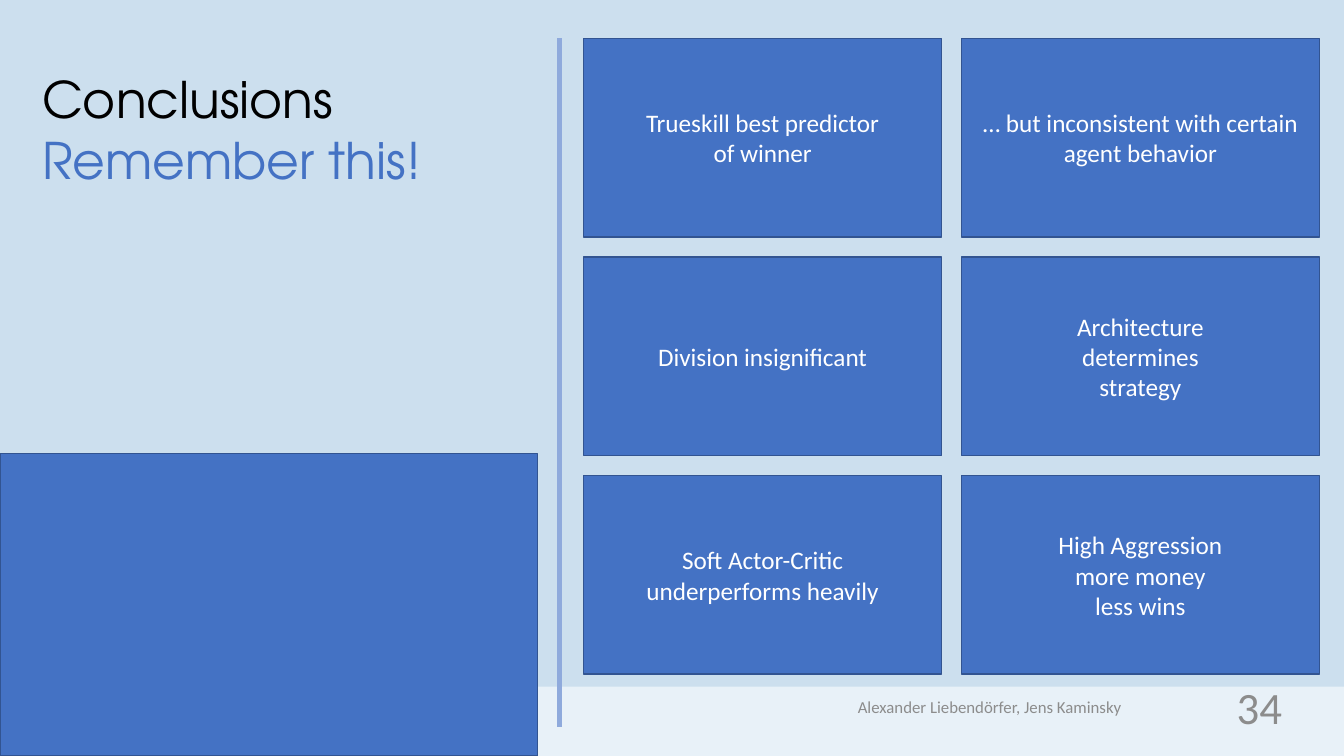
from lxml import etree
from pptx import Presentation, util as u
from pptx.dml import color
from pptx.enum import shapes, text
from pptx.oxml import ns

HUES = {
    "back": "CCDFEE",
    "band": "E8F1F8",
    "blue": "4472C4",
    "edge": "325491",
    "rule": "8FAADC",
    "grey": "8C8C8C",
    "white": "FFFFFF",
    "black": "000000",
}
ALIGN = text.PP_ALIGN
MIDDLE = text.MSO_ANCHOR.MIDDLE


def hue(name):
    return color.RGBColor.from_string(HUES[name])


def cm(*sizes):
    return [u.Cm(size) for size in sizes]


class Page:
    body = "Calibri"
    head = "TeX Gyre Adventor"

    def __init__(self, deck):
        self.slide = deck.slides.add_slide(deck.slide_layouts[6])
        fill = self.slide.background.fill
        fill.solid()
        fill.fore_color.rgb = hue("back")

    def letter(self, frame, words, size, hues, align, font):
        frame.word_wrap = True
        frame.text = words
        for i, para in enumerate(frame.paragraphs):
            para.alignment = align
            for run in para.runs:
                run.font.size = u.Pt(size)
                run.font.name = font
                run.font.color.rgb = hue(hues[i % len(hues)])

    def box(self, place, fill, edge=None, words=None):
        box = self.slide.shapes.add_shape(shapes.MSO_SHAPE.RECTANGLE, *cm(*place))
        box.shadow.inherit = False
        box.fill.solid()
        box.fill.fore_color.rgb = hue(fill)
        if edge:
            box.line.color.rgb = hue(edge)
            box.line.width = u.Pt(1)
        else:
            box.line.fill.background()
        if words:
            box.text_frame.vertical_anchor = MIDDLE
            self.letter(box.text_frame, words, 18, ["white"], ALIGN.CENTER, self.body)

    def rule(self, ends):
        line = self.slide.shapes.add_connector(shapes.MSO_CONNECTOR.STRAIGHT, *cm(*ends))
        line.line.color.rgb = hue("rule")
        line.line.width = u.Pt(3)
        etree.SubElement(line._element.spPr, ns.qn("a:effectLst"))

    def label(self, place, words, size, hues, align, font=body, anchor=MIDDLE):
        frame = self.slide.shapes.add_textbox(*cm(*place)).text_frame
        frame.vertical_anchor = anchor
        self.letter(frame, words, size, hues, align, font)
        return frame


def main():
    deck = Presentation()
    deck.slide_width, deck.slide_height = cm(33.87, 19.05)
    page = Page(deck)

    page.box((0, 17.3, 33.87, 1.75), "band")
    page.rule((14.1, 18.31, 14.1, 0.97))
    page.box((0, 11.43, 13.55, 7.62), "blue", "edge")
    page.label((19.23, 17.3, 11.43, 1.02), "Alexander Liebendörfer, Jens Kaminsky",
               12, ["grey"], ALIGN.CENTER)
    page.label((24.94, 17.3, 7.62, 1.02), "34", 32, ["grey"], ALIGN.RIGHT)

    cards = [
        ("Trueskill best predictor\nof winner",
         "… but inconsistent with certain agent behavior"),
        ("Division insignificant", "Architecture\ndetermines\nstrategy"),
        ("Soft Actor-Critic\nunderperforms heavily",
         "High Aggression\nmore money\nless wins"),
    ]
    for row, pair in enumerate(cards):
        for col, words in enumerate(pair):
            place = (14.71 + 9.52 * col, 0.97 + 5.51 * row, 9.02, 5)
            page.box(place, "blue", "edge", words)

    title = page.label((0.81, 1.6, 12.98, 3.33), "Conclusions\nRemember this!",
                       36, ["black", "blue"], ALIGN.LEFT, page.head,
                       text.MSO_ANCHOR.TOP)
    title.auto_size = text.MSO_AUTO_SIZE.SHAPE_TO_FIT_TEXT

    deck.save("out.pptx")


if __name__ == "__main__":
    main()
